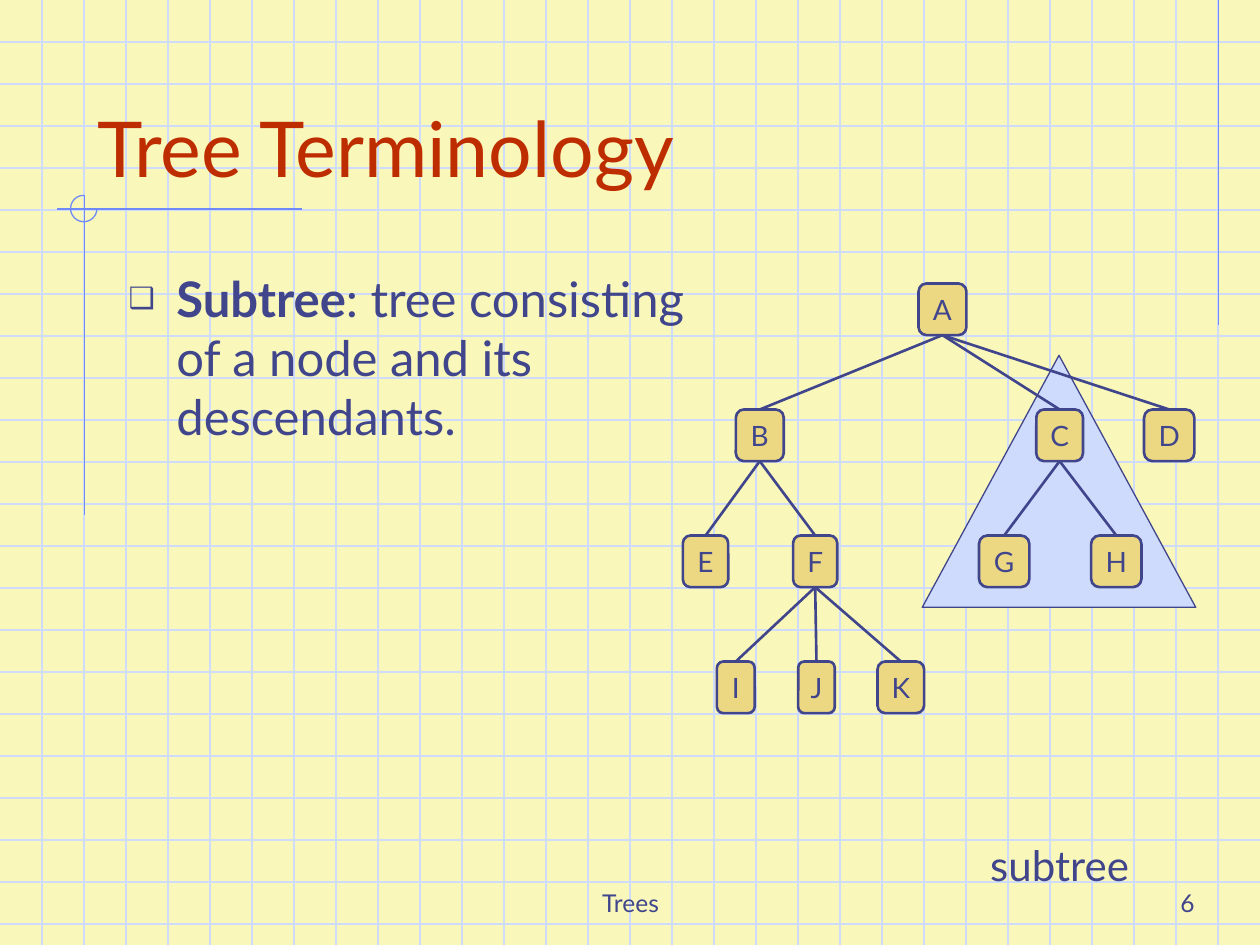
from lxml import etree
from pptx import Presentation
from pptx import util as u
from pptx.dml.color import RGBColor
from pptx.enum import shapes, text
from pptx.oxml.ns import qn

INK = RGBColor(0x40, 0x45, 0x8C)
RED = RGBColor(0xBE, 0x2D, 0x00)
PAPER = RGBColor(0xF9, 0xF8, 0xBA)
GRID = RGBColor(0xCF, 0xDB, 0xFD)
RULE = RGBColor(0x6F, 0x89, 0xF7)
NODE = RGBColor(0xEC, 0xD8, 0x82)
FONT = "Lato"
WIDTH, HEIGHT = 10, 7.5
CELLS_PER_INCH = 3

TITLE = "Tree Terminology"
TERM, DEFINITION = "Subtree", ": tree consisting of a node and its descendants."
LABELS = [
    ("Trees", (3.42, 6.83, 3.17, 0.5), 14, text.PP_ALIGN.CENTER),
    ("6", (7.5, 6.83, 2.08, 0.5), 14, text.PP_ALIGN.RIGHT),
    ("subtree", (7.66, 6.61, 1.5, 0.5), 24, text.PP_ALIGN.CENTER),
]
RULES = [(9.67, 0, 9.67, 2.58), (2.4, 1.66, 0.45, 1.66), (0.67, 1.55, 0.67, 4.09)]
LEVELS = [
    [("A", 7.48, 0.38)],
    [("B", 6.03, 0.38), ("C", 8.41, 0.37), ("D", 9.28, 0.4)],
    [("E", 5.6, 0.36), ("F", 6.47, 0.35), ("G", 7.97, 0.4), ("H", 8.86, 0.4)],
    [("I", 5.84, 0.3), ("J", 6.48, 0.29), ("K", 7.15, 0.37)],
]
CHILDREN = {"A": "BCD", "B": "EF", "C": "GH", "F": "IJK"}
TREE_TOP, LEVEL_STEP, NODE_HEIGHT = 2.25, 1, 0.41


def inches(values):
    return [u.Inches(value) for value in values]


def add_line(slide, ends, color, width=0.75):
    line = slide.shapes.add_connector(shapes.MSO_CONNECTOR.STRAIGHT, *inches(ends))
    line.line.color.rgb = color
    line.line.width = u.Pt(width)
    etree.SubElement(line.element.spPr, qn("a:effectLst"))
    return line


def add_shape(slide, kind, box, fill, color, width=0.75):
    shape = slide.shapes.add_shape(kind, *inches(box))
    shape.shadow.inherit = False
    if fill is None:
        shape.fill.background()
    else:
        shape.fill.solid()
        shape.fill.fore_color.rgb = fill
    shape.line.color.rgb = color
    shape.line.width = u.Pt(width)
    return shape


def style(paragraph, size, color=INK, align=text.PP_ALIGN.LEFT):
    paragraph.alignment = align
    paragraph.font.name = FONT
    paragraph.font.size = u.Pt(size)
    paragraph.font.color.rgb = color


def place(slide, placeholder, box, anchor):
    placeholder.left, placeholder.top, placeholder.width, placeholder.height = inches(box)
    frame = placeholder.text_frame
    frame.auto_size = text.MSO_AUTO_SIZE.NONE
    frame.vertical_anchor = anchor
    slide.shapes.element.append(placeholder.element)
    return frame.paragraphs[0]


def draw_paper(slide):
    slide.background.fill.solid()
    slide.background.fill.fore_color.rgb = PAPER
    for step in range(1, int(HEIGHT * CELLS_PER_INCH) + 1):
        y = step / CELLS_PER_INCH
        add_line(slide, (0, y, WIDTH, y), GRID)
    for step in range(1, WIDTH * CELLS_PER_INCH):
        x = step / CELLS_PER_INCH
        add_line(slide, (x, 0, x, HEIGHT), GRID)
    for ends in RULES:
        add_line(slide, ends, RULE)
    arc = add_shape(slide, shapes.MSO_SHAPE.ARC, (0.56, 1.55, 0.21, 0.21), None, RULE)
    arc.adjustments[0] = 0
    arc.adjustments[1] = 162


def write_text(slide):
    title, body = slide.placeholders
    paragraph = place(slide, title, (0.67, 0.33, 8.5, 1.25), text.MSO_ANCHOR.BOTTOM)
    paragraph.text = TITLE
    style(paragraph, 44, RED)

    paragraph = place(slide, body, (0.92, 2.08, 4.75, 1.83), text.MSO_ANCHOR.TOP)
    properties = paragraph._p.get_or_add_pPr()
    properties.set("marL", str(u.Inches(0.38)))
    properties.set("indent", str(u.Inches(-0.38)))
    bullet_color = etree.SubElement(properties, qn("a:buClr"))
    etree.SubElement(bullet_color, qn("a:srgbClr"), val=str(INK))
    etree.SubElement(properties, qn("a:buSzPct"), val="60000")
    etree.SubElement(properties, qn("a:buChar"), char="❑")
    paragraph.space_before = u.Pt(0)
    term = paragraph.add_run()
    term.text = TERM
    term.font.bold = True
    paragraph.add_run().text = DEFINITION
    style(paragraph, 28)

    for label, box, size, align in LABELS:
        frame = slide.shapes.add_textbox(*inches(box)).text_frame
        frame.word_wrap = True
        frame.vertical_anchor = text.MSO_ANCHOR.BOTTOM
        frame.text = label
        style(frame.paragraphs[0], size, align=align)


def draw_tree(slide):
    add_shape(slide, shapes.MSO_SHAPE.ISOSCELES_TRIANGLE, (7.32, 2.82, 2.17, 2), GRID, INK)
    nodes = {}
    for depth, level in enumerate(LEVELS):
        for name, center, width in level:
            box = (center - width / 2, TREE_TOP + depth * LEVEL_STEP, width, NODE_HEIGHT)
            node = add_shape(slide, shapes.MSO_SHAPE.ROUNDED_RECTANGLE, box, NODE, INK, 1.5)
            frame = node.text_frame
            frame.word_wrap = False
            frame.vertical_anchor = text.MSO_ANCHOR.MIDDLE
            frame.text = name
            style(frame.paragraphs[0], 16, align=text.PP_ALIGN.CENTER)
            nodes[name] = node
    for parent, children in CHILDREN.items():
        for child in children:
            edge = add_line(slide, (0, 0, 1, 1), INK, 1.5)
            edge.begin_connect(nodes[parent], 2)
            edge.end_connect(nodes[child], 0)


def main():
    presentation = Presentation()
    presentation.slide_width, presentation.slide_height = inches((WIDTH, HEIGHT))
    slide = presentation.slides.add_slide(presentation.slide_layouts[1])
    draw_paper(slide)
    draw_tree(slide)
    write_text(slide)
    presentation.save("out.pptx")


if __name__ == "__main__":
    main()
